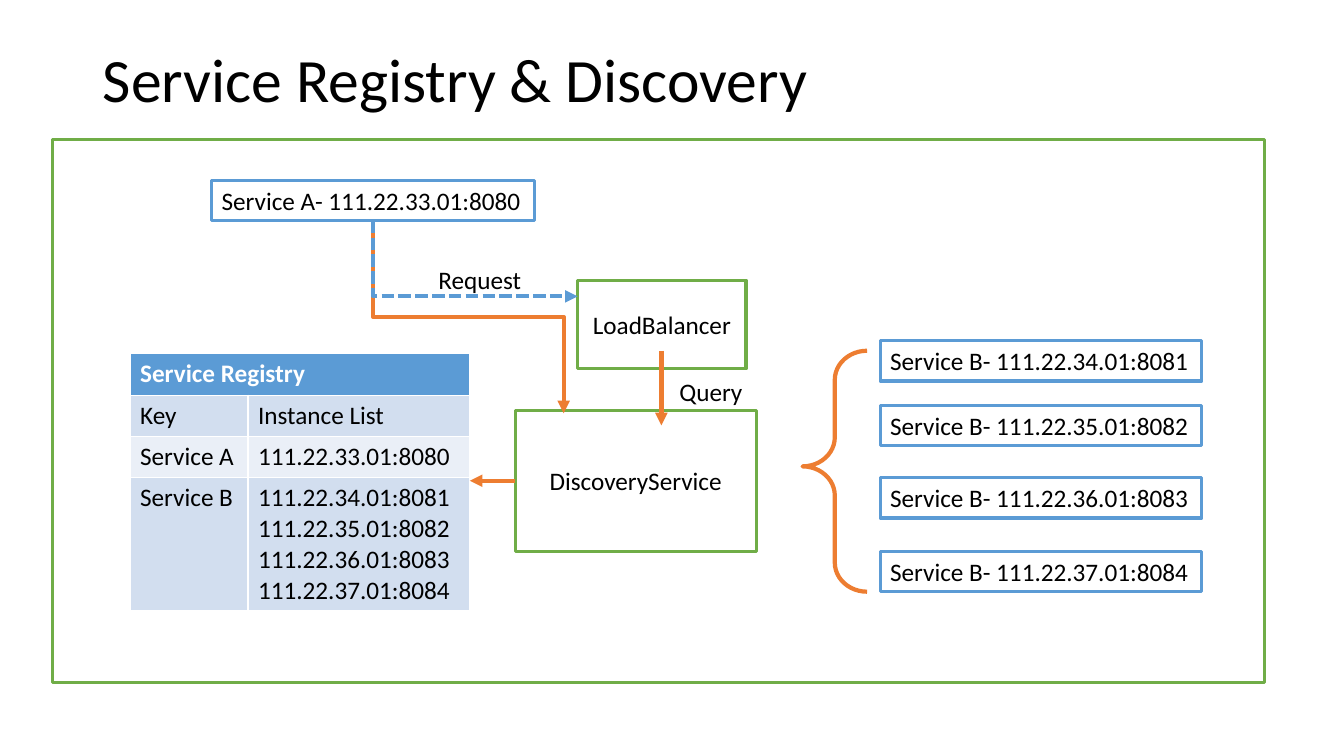
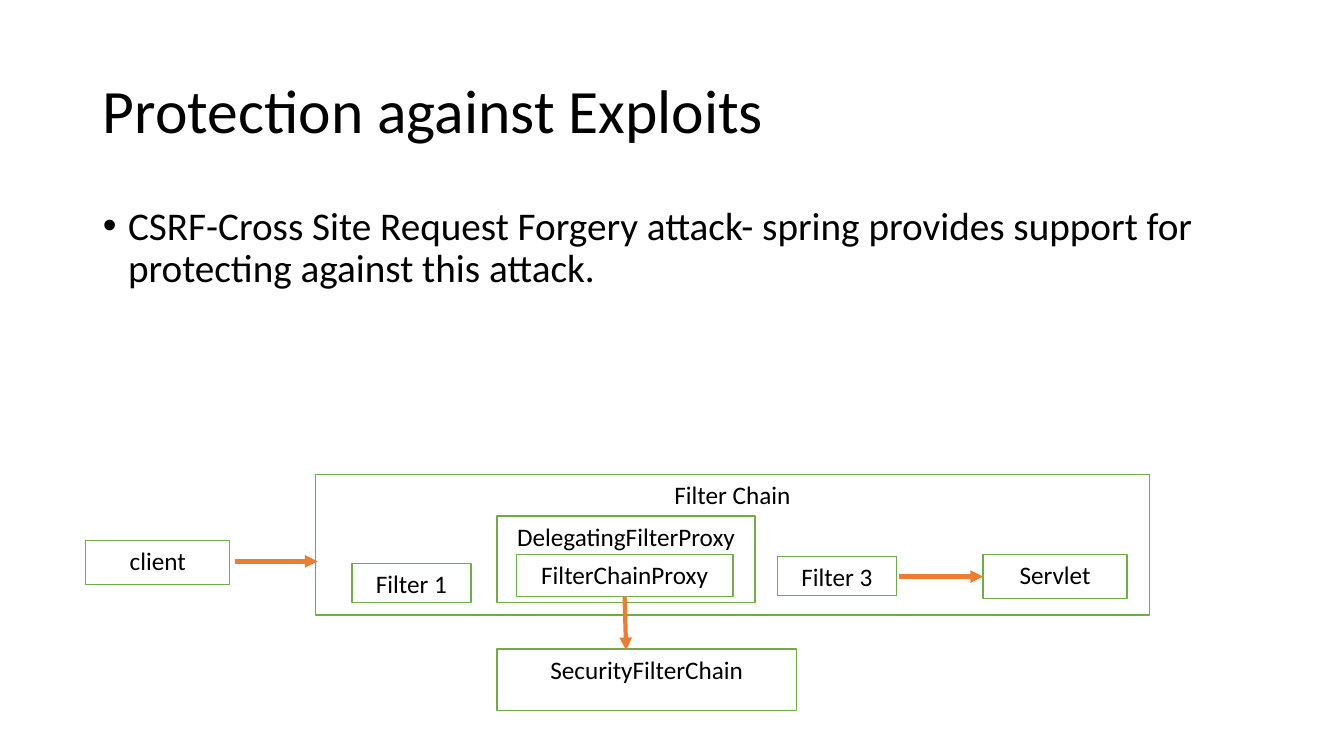
from dataclasses import dataclass

from lxml import etree
from pptx import Presentation
from pptx.dml.color import RGBColor
from pptx.enum.dml import MSO_LINE
from pptx.enum.shapes import MSO_CONNECTOR, MSO_SHAPE
from pptx.enum.text import MSO_ANCHOR, MSO_AUTO_SIZE, PP_ALIGN
from pptx.oxml.ns import qn
from pptx.util import Inches, Pt

RECTANGLE = MSO_SHAPE.RECTANGLE
LEFT_BRACE = MSO_SHAPE.LEFT_BRACE
STRAIGHT = MSO_CONNECTOR.STRAIGHT
ELBOW = MSO_CONNECTOR.ELBOW
SYSTEM_DASH = MSO_LINE.SQUARE_DOT
TOP, MIDDLE = MSO_ANCHOR.TOP, MSO_ANCHOR.MIDDLE
LEFT, CENTER = PP_ALIGN.LEFT, PP_ALIGN.CENTER
FIT_SHAPE, NO_FIT = MSO_AUTO_SIZE.SHAPE_TO_FIT_TEXT, MSO_AUTO_SIZE.NONE


@dataclass(frozen=True)
class Theme:
    font: str = "Calibri"
    black: RGBColor = RGBColor(0x00, 0x00, 0x00)
    white: RGBColor = RGBColor(0xFF, 0xFF, 0xFF)
    green: RGBColor = RGBColor(0x70, 0xAD, 0x47)
    blue: RGBColor = RGBColor(0x5B, 0x9B, 0xD5)
    orange: RGBColor = RGBColor(0xED, 0x7D, 0x31)
    band_dark: RGBColor = RGBColor(0xD2, 0xDE, 0xEF)
    band_light: RGBColor = RGBColor(0xEA, 0xEF, 0xF7)
    title_size: int = 44
    body_size: int = 28
    label_size: int = 18
    thin: float = 1
    medium: float = 2.25
    thick: float = 3


theme = Theme()


def place_text(page, text, at, *, holder=None, line=None, weight=theme.thin,
               size=theme.label_size, align=CENTER, anchor=TOP, wrap=True,
               spacing=1.0, bullet=False):
    place = [Inches(value) for value in at]
    if holder is not None:
        box = holder
        box.left, box.top, box.width, box.height = place
    elif line is not None:
        box = page.shapes.add_shape(RECTANGLE, *place)
        box.shadow.inherit = False
        box.fill.solid()
        box.fill.fore_color.rgb = theme.white
        box.line.color.rgb = line
        box.line.width = Pt(weight)
    else:
        box = page.shapes.add_textbox(*place)
    frame = box.text_frame
    frame.word_wrap = wrap
    frame.auto_size = NO_FIT if wrap else FIT_SHAPE
    frame.vertical_anchor = anchor
    para = frame.paragraphs[0]
    para.text = text
    para.alignment = align
    para.line_spacing = spacing
    para.space_before = Pt(0)
    if bullet:
        properties = para._p.get_or_add_pPr()
        properties.set("marL", str(Inches(0.25)))
        properties.set("indent", str(Inches(-0.25)))
        etree.SubElement(properties, qn("a:buChar")).set("char", "•")
    for span in para.runs:
        span.font.name = theme.font
        span.font.size = Pt(size)
        span.font.color.rgb = theme.black
    return box


def add_arrow(page, start, end, *, color=theme.orange, dash=None, bend=None):
    if bend:
        across, down = end[0] - start[0], end[1] - start[1]
        left = (start[0] + end[0] - down) / 2
        top = (start[1] + end[1] - across) / 2
        start, end = (left, top), (left + down, top + across)
    arrow = page.shapes.add_connector(
        ELBOW if bend else STRAIGHT, *[Inches(value) for value in (*start, *end)])
    arrow.line.color.rgb = color
    arrow.line.width = Pt(theme.thick)
    if dash:
        arrow.line.dash_style = dash
    properties = arrow._element.spPr
    if bend:
        transform = properties.find(qn("a:xfrm"))
        transform.set("rot", "16200000")
        transform.set("flipH", "1")
        properties.find(qn("a:prstGeom")).set("prst", bend)
    etree.SubElement(properties.find(qn("a:ln")), qn("a:tailEnd")).set("type", "triangle")
    etree.SubElement(properties, qn("a:effectLst"))
    return arrow


deck = Presentation()
deck.slide_width = Inches(13.33)
deck.slide_height = Inches(7.5)
title_style = dict(size=theme.title_size, align=LEFT, anchor=MIDDLE, spacing=0.9)
component_style = dict(line=theme.green, weight=theme.medium, anchor=MIDDLE)
service_style = dict(line=theme.blue, weight=theme.medium, align=LEFT, wrap=False)

page = deck.slides.add_slide(deck.slide_layouts[5])
place_text(page, "Service Registry & Discovery", (0.92, 0.37, 11.5, 0.9),
           holder=page.shapes.title, **title_style)
place_text(page, "", (0.52, 1.38, 12.02, 5.39), **component_style)

instances = ["111.22.34.01:8081", "111.22.35.01:8082",
             "111.22.36.01:8083", "111.22.37.01:8084"]
registry_rows = [
    ("Service Registry", ""),
    ("Key", "Instance List"),
    ("Service A", "111.22.33.01:8080"),
    ("Service B", "\n".join(instances)),
]
row_fills = [theme.blue, theme.band_dark, theme.band_light, theme.band_dark]
row_heights = [0.41, 0.41, 0.41, 1.3]
registry = page.shapes.add_table(
    4, 2, Inches(1.29), Inches(3.51), Inches(3.37), Inches(sum(row_heights))).table
for column, width in zip(registry.columns, (1.17, 2.2)):
    column.width = Inches(width)
registry.cell(0, 0).merge(registry.cell(0, 1))
for index, texts in enumerate(registry_rows):
    registry.rows[index].height = Inches(row_heights[index])
    for cell, text in zip(registry.rows[index].cells, texts):
        cell.fill.solid()
        cell.fill.fore_color.rgb = row_fills[index]
        cell.text = text
        for para in cell.text_frame.paragraphs:
            para.font.name = theme.font
            para.font.size = Pt(theme.label_size)
            para.font.bold = index == 0
            para.font.color.rgb = theme.white if index == 0 else theme.black

discovery = place_text(page, "DiscoveryService", (5.11, 4.07, 2.39, 1.4), **component_style)
add_arrow(page, (5.11, 4.77), (4.66, 4.77)).begin_connect(discovery, 1)
for address, top in zip(instances, (3.38, 4.02, 4.74, 5.47)):
    place_text(page, f"Service B- {address}", (8.73, top, 3.19, 0.4), **service_style)
place_text(page, "Service A- 111.22.33.01:8080", (2.1, 1.79, 3.2, 0.4), **service_style)
place_text(page, "LoadBalancer", (5.73, 2.78, 1.67, 0.88), **component_style)

brace = page.shapes.add_shape(
    LEFT_BRACE, Inches(7.96), Inches(3.48), Inches(0.64), Inches(2.39))
brace.shadow.inherit = False
brace.fill.background()
brace.line.color.rgb = theme.orange
brace.line.width = Pt(theme.thick)
brace.adjustments[0] = 0.45
brace.adjustments[1] = 0.48

add_arrow(page, (3.7, 2.19), (5.59, 4.1), bend="bentConnector3")
add_arrow(page, (6.56, 3.48), (6.56, 4.22))
add_arrow(page, (3.7, 2.19), (5.73, 2.94), color=theme.blue, dash=SYSTEM_DASH,
          bend="bentConnector2")
place_text(page, "Query", (6.64, 3.68, 0.83, 0.4), align=LEFT, wrap=False)
place_text(page, "Request", (4.25, 2.57, 1.03, 0.4), align=LEFT, wrap=False)

page = deck.slides.add_slide(deck.slide_layouts[1])
place_text(page, "Protection against Exploits", (0.92, 0.4, 11.5, 1.45),
           holder=page.shapes.title, **title_style)
place_text(page, "CSRF-Cross Site Request Forgery attack- spring provides support for "
           "protecting against this attack.", (0.92, 2, 11.5, 4.76),
           holder=page.placeholders[1], size=theme.body_size, align=LEFT,
           spacing=0.9, bullet=True)

filter_places = {
    "client": (0.85, 5.36, 1.43, 0.44),
    "Filter Chain": (3.13, 4.71, 8.27, 1.39),
    "Filter 1": (3.49, 5.59, 1.18, 0.39),
    "DelegatingFilterProxy": (4.93, 5.12, 2.56, 0.86),
    "Filter 3": (7.71, 5.52, 1.18, 0.39),
    "Servlet": (9.75, 5.5, 1.43, 0.44),
    "FilterChainProxy": (5.12, 5.5, 2.15, 0.42),
    "SecurityFilterChain": (4.93, 6.44, 2.97, 0.61),
}
filter_boxes = {name: place_text(page, name, at, line=theme.green)
                for name, at in filter_places.items()}
add_arrow(page, (2.33, 5.57), (3.15, 5.57))
add_arrow(page, (8.92, 5.72), (9.75, 5.72)).end_connect(filter_boxes["Servlet"], 1)
add_arrow(page, (6.19, 5.92), (6.21, 6.45)).begin_connect(filter_boxes["FilterChainProxy"], 2)

deck.save("out.pptx")
